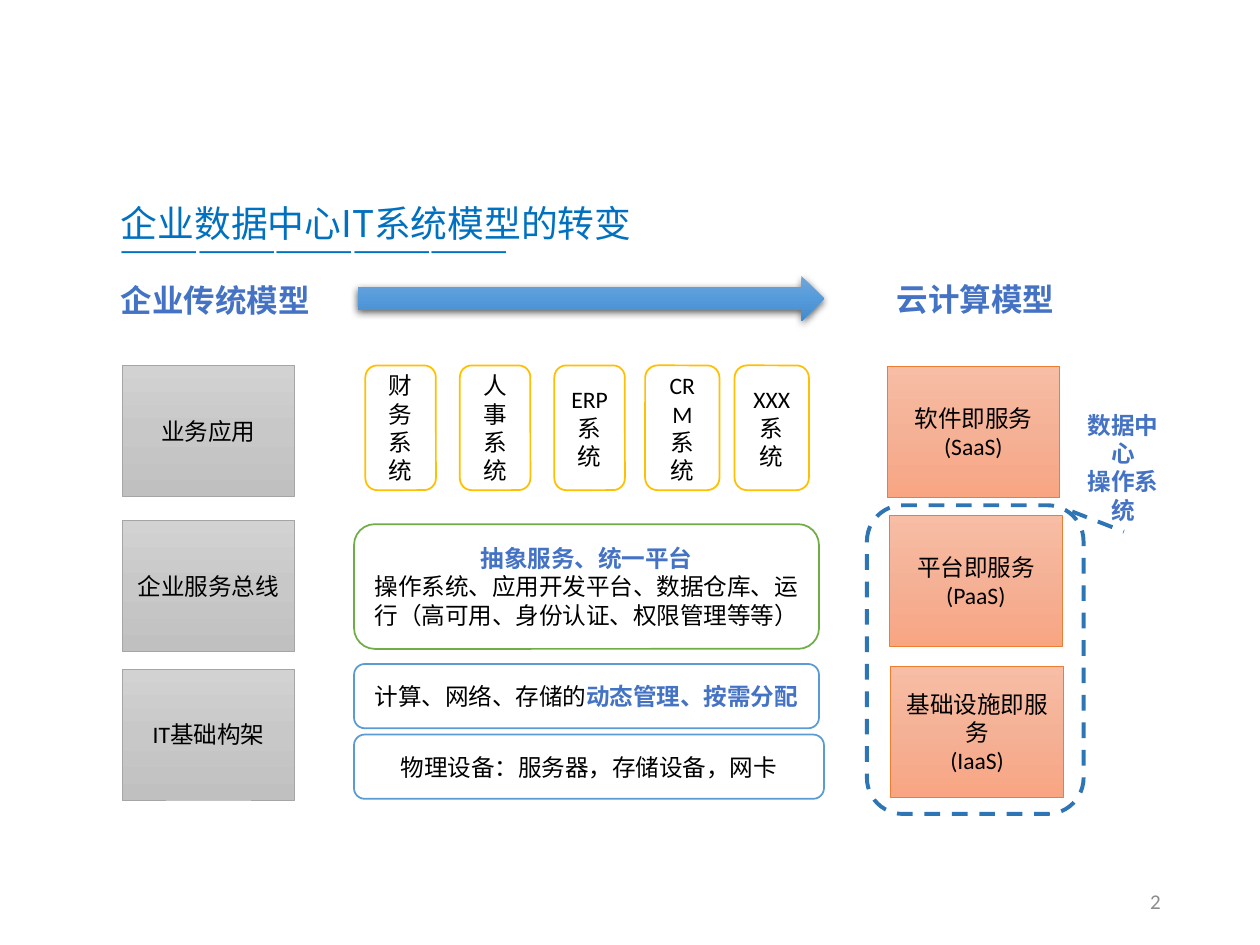
import copy

import lxml.etree
import pptx
import pptx.dml.color
import pptx.enum.dml
import pptx.enum.shapes
import pptx.enum.text
import pptx.oxml
import pptx.oxml.ns
import pptx.util

PX = 9144  # EMU per px, 100 px to the inch
CJK, LATIN = "Noto Sans CJK SC", "Calibri"
COLORS = {
    "title": "0070C0", "accent": "4472C4", "text": "000000", "white": "FFFFFF",
    "gray": "A5A5A5", "orange": "ED7D31", "yellow": "FFC000", "blue": "5B9BD5",
    "green": "70AD47", "dash": "2E75B6", "page": "8C8C8C",
}
GRADIENTS = {
    "gray": ("D2D2D2", "C8C8C8", "C0C0C0"),
    "orange": ("F7BDA5", "F5B196", "F8A582"),
    "arrow": ("71A6DB", "559BDB", "448ACA"),
}
SHAPES = pptx.enum.shapes.MSO_SHAPE
ALIGN = pptx.enum.text.PP_ALIGN
ANCHOR = pptx.enum.text.MSO_ANCHOR
qn = pptx.oxml.ns.qn


def rgb(value):
    return pptx.dml.color.RGBColor.from_string(value)


def emu(*lengths):
    return [pptx.util.Emu(n * PX) for n in lengths]


def write(tf, paragraphs, size, font, align=ALIGN.CENTER, anchor=ANCHOR.MIDDLE):
    """Fill a frame; each paragraph is a list of (text, colour, bold) runs."""
    tf.word_wrap = True
    tf.vertical_anchor = anchor
    for i, runs in enumerate(paragraphs):
        p = tf.paragraphs[0] if i == 0 else tf.add_paragraph()
        p.alignment = align
        for text, color, bold in runs:
            r = p.add_run()
            r.text = text
            r.font.size = pptx.util.Pt(size)
            r.font.bold = bold
            r.font.color.rgb = rgb(COLORS[color])
            r.font.name = font
            ea = lxml.etree.Element(qn("a:ea"), typeface=CJK)
            r.font._element.find(qn("a:latin")).addnext(ea)


def add_text(slide, box, paragraphs, size, font=CJK, align=ALIGN.LEFT, anchor=ANCHOR.TOP):
    s = slide.shapes.add_textbox(*emu(*box))
    write(s.text_frame, paragraphs, size, font, align, anchor)
    return s


def set_gradient(s, colors):
    s.fill.gradient()
    s.fill.gradient_angle = 270
    stops = s._element.spPr.find(".//" + qn("a:gsLst"))
    stops.insert(1, copy.deepcopy(stops[0]))
    for i, (stop, color) in enumerate(zip(s.fill.gradient_stops, colors)):
        stop.position = i / 2
        stop.color.rgb = rgb(color)


def add_box(slide, kind, box, line=None, width=1, gradient=None, fill=None, paragraphs=()):
    s = slide.shapes.add_shape(kind, *emu(*box))
    s.shadow.inherit = False
    if gradient:
        set_gradient(s, GRADIENTS[gradient])
    elif fill:
        s.fill.solid()
        s.fill.fore_color.rgb = rgb(COLORS[fill])
    else:
        s.fill.background()
    if line:
        s.line.color.rgb = rgb(COLORS[line])
        s.line.width = pptx.util.Pt(width)
    else:
        s.line.fill.background()
    write(s.text_frame, paragraphs, 13.5, LATIN)
    return s


def plain(*lines):
    return [[(text, "text", False)] for text in lines]


def add_title(slide, x, y, w):
    s = slide.shapes.title
    s.left, s.top, s.width, s.height = emu(x, y, w, 45)
    write(s.text_frame, [[("企业数据中心IT系统模型的转变", "title", False)]],
          21, CJK, ALIGN.LEFT, ANCHOR.TOP)
    add_text(slide, (x, y + 24, w, 40), [[("—" * 15, "title", False)]], 18)


def add_traditional(slide, x, y):
    add_text(slide, (x, y, 171, 40), [[("企业传统模型", "accent", True)]], 18)
    for dy, label in ((72, "业务应用"), (195, "企业服务总线"), (313, "IT基础构架")):
        add_box(slide, SHAPES.RECTANGLE, (x + 11, y + dy, 137, 104), "gray", 0.5,
                gradient="gray", paragraphs=plain(label))


def add_transition(slide, x, y):
    # Arrow from the old model to the new one
    arrow = add_box(slide, SHAPES.RIGHT_ARROW, (x + 3, y, 370, 36), gradient="arrow")
    effects = arrow._element.spPr.find(qn("a:effectLst"))
    effects.append(pptx.oxml.parse_xml(
        f'<a:outerShdw {pptx.oxml.ns.nsdecls("a")} blurRad="57150" dist="19050" dir="5400000">'
        '<a:srgbClr val="000000"><a:alpha val="63000"/></a:srgbClr></a:outerShdw>'))

    # Application systems
    systems = ((9, 56, "财务"), (84, 56, "人事"), (159, 56, "ERP"),
               (231, 59, "CRM"), (302, 59, "XXX"))
    for dx, w, name in systems:
        add_box(slide, SHAPES.ROUNDED_RECTANGLE, (x + dx, y + 71, w, 99), "yellow",
                fill="white", paragraphs=plain(name + "系统"))

    # Platform, resource and device layers
    layers = (
        (197, 369, 99, "green", [
            [("抽象服务、统一平台", "accent", True)],
            [("操作系统、应用开发平台、数据仓库、运行（高可用、身份认证、权限管理等等）", "text", False)]]),
        (308, 369, 51, "blue", [
            [("计算、网络、存储的", "text", False), ("动态管理、按需分配", "accent", True)]]),
        (364, 373, 51, "blue", plain("物理设备：服务器，存储设备，网卡")),
    )
    for dy, w, h, line, paragraphs in layers:
        add_box(slide, SHAPES.ROUNDED_RECTANGLE, (x, y + dy, w, h), line,
                fill="white", paragraphs=paragraphs)


def add_cloud(slide, x, y):
    add_text(slide, (x + 14, y, 154, 40), [[("云计算模型", "accent", True)]], 18)
    services = ((16, 74, "软件即服务", "(SaaS)"), (18, 192, "平台即服务", "(PaaS)"),
                (19, 312, "基础设施即服务", "(IaaS)"))
    for dx, dy, *lines in services:
        add_box(slide, SHAPES.RECTANGLE, (x + dx, y + dy, 137, 104), "orange", 0.5,
                gradient="orange", paragraphs=plain(*lines))

    # Dashed frame and its callout
    frame = add_box(slide, SHAPES.ROUNDED_RECTANGLE, (x, y + 184, 172, 245), "dash", 2.25)
    leader = slide.shapes.add_connector(
        pptx.enum.shapes.MSO_CONNECTOR.STRAIGHT, *emu(x + 163, y + 189, x + 204, y + 205))
    leader.line.color.rgb = rgb(COLORS["dash"])
    leader.line.width = pptx.util.Pt(2.25)
    lxml.etree.SubElement(leader._element.spPr, qn("a:effectLst"))
    for s in (frame, leader):
        s.line.dash_style = pptx.enum.dml.MSO_LINE.DASH
    add_text(slide, (x + 157, y + 104, 93, 101),
             [[("数据中心", "accent", True)], [("操作系统", "accent", True)]],
             13.5, align=ALIGN.CENTER)


def add_page_number(slide, x, y):
    s = add_text(slide, (x, y, 225, 40), [[("2", "page", False)]], 12, LATIN,
                 ALIGN.RIGHT, ANCHOR.MIDDLE)
    return s


def main():
    prs = pptx.Presentation()
    prs.slide_width, prs.slide_height = emu(1000, 750)
    slide = prs.slides.add_slide(prs.slide_layouts[5])
    add_title(slide, 86, 154, 800)
    add_traditional(slide, 86, 218)
    add_transition(slide, 281, 219)
    add_cloud(slide, 688, 217)
    add_page_number(slide, 706, 695)
    prs.save("out.pptx")


if __name__ == "__main__":
    main()
